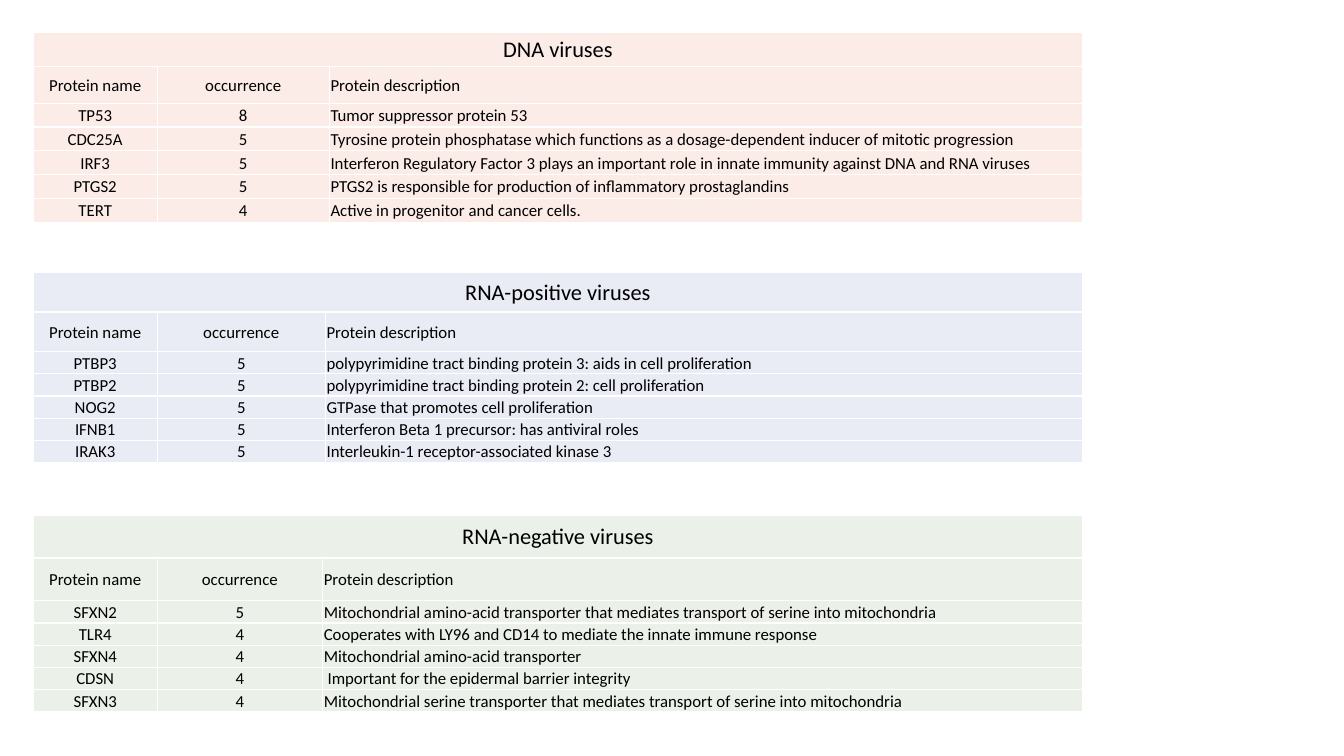
from lxml import etree
from pptx import Presentation
from pptx.dml.color import RGBColor
from pptx.enum.text import MSO_ANCHOR, PP_ALIGN
from pptx.oxml.ns import qn
from pptx.util import Cm, Pt

MIDDLE = MSO_ANCHOR.MIDDLE
LEFT, CENTER = PP_ALIGN.LEFT, PP_ALIGN.CENTER
COLORS = {
    "text": "000000",
    "border": "FFFFFF",
    "dna": "FCECE8",
    "rna_positive": "E9EBF5",
    "rna_negative": "EBF1E9",
}
HEADERS = ("Protein name", "occurrence", "Protein description")
TABLE_LEFT, TABLE_WIDTH, NAME_WIDTH = 0.84, 26.44, 3.12

# Top, occurrence width, title / header / protein row heights (cm)
VIRUS_GROUPS = [
    ("DNA viruses", "dna", 0.82, 4.34, (0.86, 0.92, 0.6), [
        ("TP53", 8, "Tumor suppressor protein 53"),
        ("CDC25A", 5, "Tyrosine protein phosphatase which functions as a "
                      "dosage-dependent inducer of mitotic progression"),
        ("IRF3", 5, "Interferon Regulatory Factor 3 plays an important role in "
                    "innate immunity against DNA and RNA viruses"),
        ("PTGS2", 5, "PTGS2 is responsible for production of inflammatory prostaglandins"),
        ("TERT", 4, "Active in progenitor and cancer cells."),
    ]),
    ("RNA-positive viruses", "rna_positive", 6.86, 4.24, (1, 1, 0.56), [
        ("PTBP3", 5, "polypyrimidine tract binding protein 3: aids in cell proliferation"),
        ("PTBP2", 5, "polypyrimidine tract binding protein 2: cell proliferation"),
        ("NOG2", 5, "GTPase that promotes cell proliferation"),
        ("IFNB1", 5, "Interferon Beta 1 precursor: has antiviral roles"),
        ("IRAK3", 5, "Interleukin-1 receptor-associated kinase 3"),
    ]),
    ("RNA-negative viruses", "rna_negative", 12.98, 4.17, (1.08, 1.08, 0.56), [
        ("SFXN2", 5, "Mitochondrial amino-acid transporter that mediates "
                     "transport of serine into mitochondria"),
        ("TLR4", 4, "Cooperates with LY96 and CD14 to mediate the innate immune response"),
        ("SFXN4", 4, "Mitochondrial amino-acid transporter"),
        ("CDSN", 4, "\u00a0Important for the epidermal barrier integrity"),
        ("SFXN3", 4, "Mitochondrial serine transporter that mediates "
                     "transport of serine into mitochondria"),
    ]),
]


class SlideBuilder:
    """Holds the text style and the current slide."""

    font_name = "Calibri"
    title_size = 16
    body_size = 12

    def __init__(self, slide):
        """Keep the slide to draw on."""
        self.slide = slide

    def add_borders(self, cell):
        """Draw a thin border on all four sides of a cell."""
        properties = cell._tc.get_or_add_tcPr()
        for side in ("a:lnL", "a:lnR", "a:lnT", "a:lnB"):
            line = etree.SubElement(properties, qn(side), w=str(Pt(1)))
            fill = etree.SubElement(line, qn("a:solidFill"))
            etree.SubElement(fill, qn("a:srgbClr"), val=COLORS["border"])

    def format_cell(self, cell, text, color, size, alignment):
        """Fill a cell and set its text."""
        self.add_borders(cell)
        cell.fill.solid()
        cell.fill.fore_color.rgb = RGBColor.from_string(COLORS[color])
        cell.vertical_anchor = MIDDLE
        cell.margin_left = cell.margin_right = cell.margin_top = Cm(0.03)
        cell.margin_bottom = 0
        cell.text_frame.text = text
        paragraph = cell.text_frame.paragraphs[0]
        paragraph.alignment = alignment
        paragraph.font.size = Pt(size)
        for run in paragraph.runs:
            run.font.name = self.font_name
            run.font.size = Pt(size)
            run.font.color.rgb = RGBColor.from_string(COLORS["text"])

    def add_virus_table(self, title, color, top, occurrence_width, heights, proteins):
        """Add one table of proteins under a merged title row."""
        rows = [(title, "", ""), HEADERS, *proteins]
        title_height, header_height, protein_height = heights
        row_heights = [title_height, header_height] + [protein_height] * len(proteins)
        widths = (NAME_WIDTH, occurrence_width,
                  TABLE_WIDTH - NAME_WIDTH - occurrence_width)
        table = self.slide.shapes.add_table(
            len(rows), len(widths), Cm(TABLE_LEFT), Cm(top),
            Cm(TABLE_WIDTH), Cm(sum(row_heights))).table
        table.first_row = table.horz_banding = False
        for column, width in zip(table.columns, widths):
            column.width = Cm(width)
        for row, height in zip(table.rows, row_heights):
            row.height = Cm(height)
        table.cell(0, 0).merge(table.cell(0, len(widths) - 1))
        for row_index, values in enumerate(rows):
            size = self.body_size if row_index else self.title_size
            for column_index, value in enumerate(values):
                alignment = LEFT if column_index == 2 else CENTER
                self.format_cell(table.cell(row_index, column_index),
                                 str(value), color, size, alignment)


def main():
    """Build the slide with the three virus tables."""
    presentation = Presentation()
    presentation.slide_width, presentation.slide_height = Cm(33.87), Cm(19.05)
    builder = SlideBuilder(presentation.slides.add_slide(presentation.slide_layouts[6]))
    for group in VIRUS_GROUPS:
        builder.add_virus_table(*group)
    presentation.save("out.pptx")


main()
